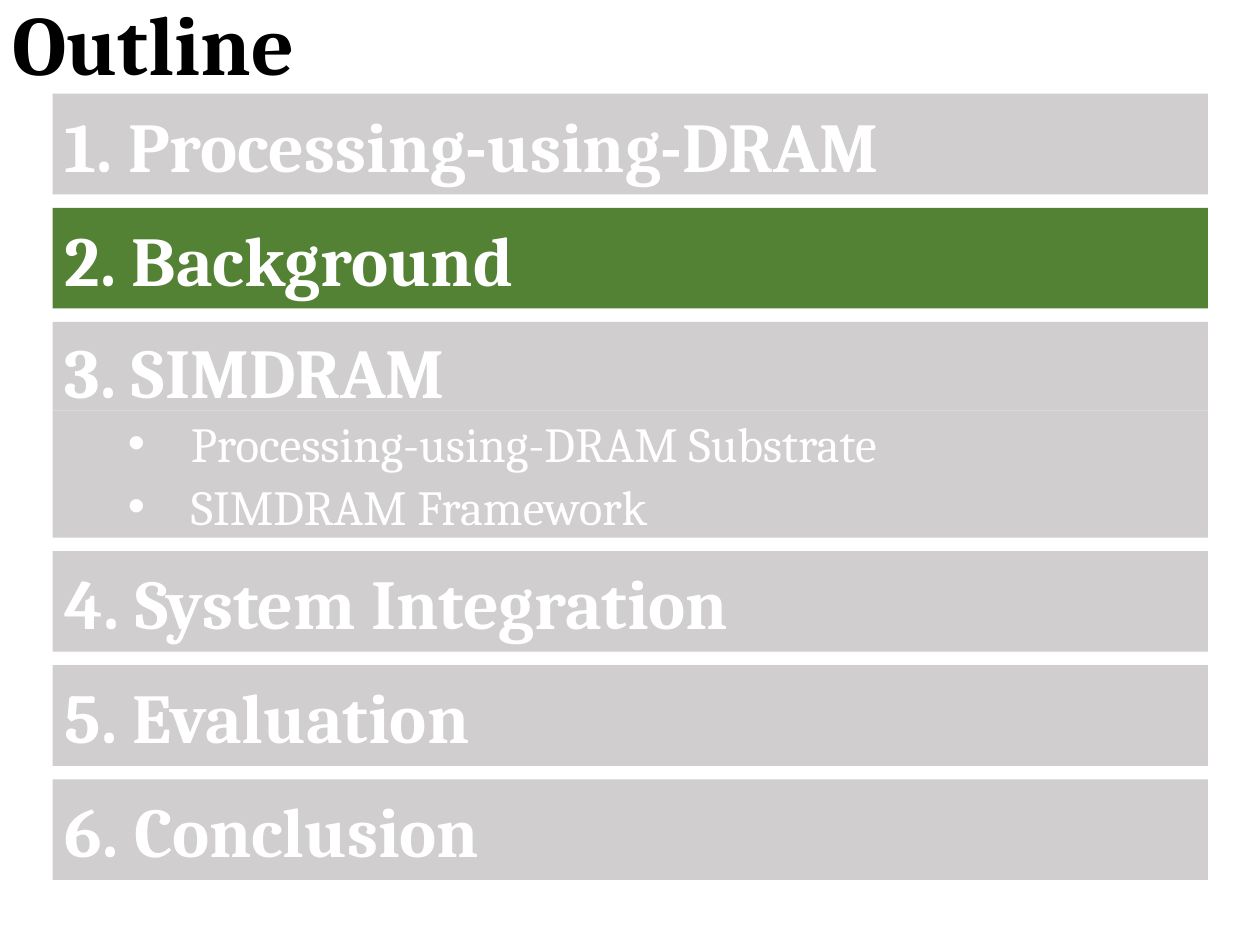
from dataclasses import dataclass

from lxml.etree import SubElement
from pptx import Presentation
from pptx.dml.color import RGBColor as RGB
from pptx.enum.shapes import MSO_SHAPE as Shape
from pptx.enum.text import MSO_ANCHOR as Anchor, PP_ALIGN as Align
from pptx.oxml.ns import qn
from pptx.util import Cm, Pt

# Content: section heading, sub-items
TITLE = "Outline"
SECTIONS = [
    ("1. Processing-using-DRAM", []),
    ("2. Background", []),
    ("3. SIMDRAM", ["Processing-using-DRAM Substrate", "SIMDRAM Framework"]),
    ("4. System Integration", []),
    ("5. Evaluation", []),
    ("6. Conclusion", []),
]
CURRENT = "2. Background"


@dataclass(frozen=True)
class Theme:
    font: str = "Cambria"
    title: RGB = RGB(0, 0, 0)
    text: RGB = RGB(255, 255, 255)
    muted: RGB = RGB(0xD0, 0xCE, 0xCE)
    active: RGB = RGB(0x54, 0x82, 0x35)
    title_size: int = 48
    heading_size: int = 40
    item_size: int = 28


THEME = Theme()

# Layout in centimetres
LEFT, TOP, WIDTH, GAP = 1.06, 1.89, 23.29, 0.27
BAR_H, HEADING_H, ITEM_H = 2.03, 1.79, 1.28


def add_run(p, text, size, color, bold):
    r = p.add_run()
    r.text = text
    r.font.name = THEME.font
    r.font.size = Pt(size)
    r.font.bold = bold
    r.font.color.rgb = color


def add_bullet(p):
    p.level = 1
    pPr = p._p.get_or_add_pPr()
    pPr.set("marL", str(Cm(2.54)))
    pPr.set("indent", str(Cm(-1.27)))
    SubElement(pPr, qn("a:buFont"), typeface="Arial")
    SubElement(pPr, qn("a:buChar"), char="•")


def add_bar(s, top, height, text, fill, anchor=Anchor.MIDDLE, item=False):
    sp = s.shapes.add_shape(Shape.RECTANGLE, Cm(LEFT), Cm(top), Cm(WIDTH), Cm(height))
    sp.shadow.inherit = False
    sp.fill.solid()
    sp.fill.fore_color.rgb = fill
    sp.line.fill.background()
    tf = sp.text_frame
    tf.word_wrap = True
    tf.vertical_anchor = anchor
    p = tf.paragraphs[0]
    p.alignment = Align.LEFT
    if item:
        add_bullet(p)
    size = THEME.item_size if item else THEME.heading_size
    add_run(p, text, size, THEME.text, not item)


def main():
    prs = Presentation()
    prs.slide_width, prs.slide_height = Cm(25.4), Cm(19.05)
    s = prs.slides.add_slide(prs.slide_layouts[6])

    # Title
    tf = s.shapes.add_textbox(Cm(0), Cm(-0.05), Cm(24.97), Cm(2.06)).text_frame
    tf.word_wrap = True
    tf.vertical_anchor = Anchor.MIDDLE
    p = tf.paragraphs[0]
    p.line_spacing = 0.9
    add_run(p, TITLE, THEME.title_size, THEME.title, True)

    # Section bars, stacked with equal gaps
    top = TOP
    for heading, items in SECTIONS:
        fill = THEME.active if heading == CURRENT else THEME.muted
        height = HEADING_H if items else BAR_H
        add_bar(s, top, height, heading, fill, Anchor.TOP if items else Anchor.MIDDLE)
        top += height
        for item in items:
            add_bar(s, top, ITEM_H, item, fill, item=True)
            top += ITEM_H
        top += GAP

    prs.save("out.pptx")


if __name__ == "__main__":
    main()
